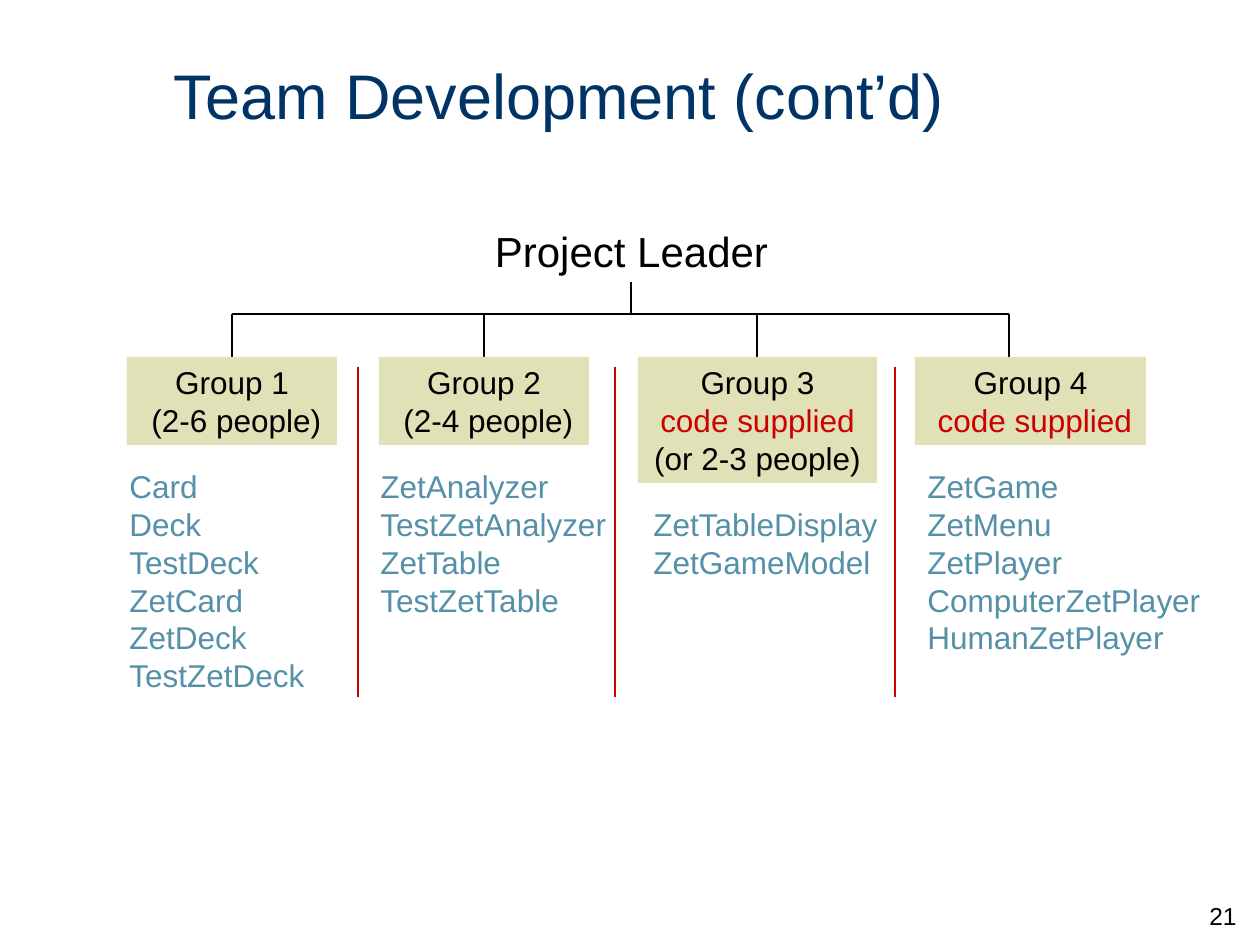
from pptx import Presentation
from pptx.dml.color import RGBColor
from pptx.enum.shapes import MSO_CONNECTOR, MSO_SHAPE
from pptx.enum.text import MSO_ANCHOR, PP_ALIGN
from pptx.oxml.ns import qn
from pptx.util import Pt
from lxml.etree import SubElement

PX = 914400 / 126
COLORS = {
    "title": "003366",
    "text": "000000",
    "class": "5490A8",
    "accent": "CC0000",
    "group": "E1E1B7",
    "paper": "FFFFFF",
}
LINE_HEIGHT = 38
PADDING = 12


def emu(*lengths):
    return [round(length * PX) for length in lengths]


def color(name):
    return RGBColor.from_string(COLORS[name])


class SlideBuilder:
    font = "Arial"

    def __init__(self, page):
        self.page = page

    def add_lines(self, box, lines, size, align=PP_ALIGN.LEFT, anchor=MSO_ANCHOR.TOP):
        """Each line is a list of (text, color name) runs."""
        frame = box.text_frame
        frame.word_wrap = True
        frame.vertical_anchor = anchor
        for index, line in enumerate(lines):
            para = frame.add_paragraph() if index else frame.paragraphs[0]
            para.alignment = align
            for text, color_name in line:
                span = para.add_run()
                span.text = text
                span.font.name = self.font
                span.font.size = Pt(size)
                span.font.color.rgb = color(color_name)

    def title(self, text, *place):
        box = self.page.shapes.title
        box.left, box.top, box.width, box.height = emu(*place)
        self.add_lines(box, [[(text, "title")]], 36, anchor=MSO_ANCHOR.MIDDLE)

    def text(self, lines, size, *place, align=PP_ALIGN.LEFT):
        box = self.page.shapes.add_textbox(*emu(*place))
        self.add_lines(box, lines, size, align)

    def block(self, lines, size, fill, *place):
        box = self.page.shapes.add_shape(MSO_SHAPE.RECTANGLE, *emu(*place))
        box.shadow.inherit = False
        box.fill.solid()
        box.fill.fore_color.rgb = color(fill)
        box.line.fill.background()
        self.add_lines(box, lines, size, PP_ALIGN.CENTER)

    def line(self, color_name, *ends):
        rule = self.page.shapes.add_connector(MSO_CONNECTOR.STRAIGHT, *emu(*ends))
        rule.line.color.rgb = color(color_name)
        rule.line.width = Pt(0.75)
        SubElement(rule.element.spPr, qn("a:effectLst"))


# Left, width and branch x of each group box; left and width of its class list
GROUPS = [
    (127, 210, 232, 117, 220,
     [[("Group 1", "text")], [(" (2-6 people)", "text")]],
     ["Card", "Deck", "TestDeck", "ZetCard", "ZetDeck", "TestZetDeck"]),
    (379, 210, 484, 368, 262,
     [[("Group 2", "text")], [(" (2-4 people)", "text")]],
     ["ZetAnalyzer", "TestZetAnalyzer", "ZetTable", "TestZetTable"]),
    (638, 239, 757, 641, 262,
     [[("Group 3", "text")], [("code supplied", "accent")],
      [("(or 2-3 people)", "text")]],
     ["ZetTableDisplay", "ZetGameModel"]),
    (915, 231, 1009, 915, 315,
     [[("Group 4", "text")], [(" ", "text"), ("code supplied", "accent")]],
     ["ZetGame", "ZetMenu", "ZetPlayer", "ComputerZetPlayer", "HumanZetPlayer"]),
]
LEADER_BOTTOM, BUS_Y, GROUP_TOP = 282, 314, 357
LEADER_X = 631
LIST_GAP = 16


def main():
    deck = Presentation()
    deck.slide_width, deck.slide_height = emu(1260, 945)
    slide = SlideBuilder(deck.slides.add_slide(deck.slide_layouts[5]))

    # Title and page number
    slide.title("Team Development (cont’d)", 161, 42, 878, 105)
    slide.text([[("21", "text")]], 14, 987, 895, 262, 63, align=PP_ALIGN.RIGHT)

    # Project leader and the bar that spans the groups
    slide.block([[("Project Leader", "text")]], 24, "paper",
                411, 219, 441, LEADER_BOTTOM - 219)
    slide.line("text", LEADER_X, LEADER_BOTTOM, LEADER_X, BUS_Y)
    slide.line("text", GROUPS[0][2], BUS_Y, GROUPS[-1][2], BUS_Y)

    # Groups with their branches and classes
    for left, width, branch, list_left, list_width, label, classes in GROUPS:
        height = PADDING + LINE_HEIGHT * len(label)
        slide.line("text", branch, BUS_Y, branch, GROUP_TOP)
        slide.block(label, 18, "group", left, GROUP_TOP, width, height)
        slide.text([[(name, "class")] for name in classes], 18,
                   list_left, GROUP_TOP + height + LIST_GAP,
                   list_width, PADDING + LINE_HEIGHT * len(classes))

    # Separators between the groups
    for x in (358, 615, 895):
        slide.line("accent", x, 367, x, 697)

    deck.save("out.pptx")


if __name__ == "__main__":
    main()
